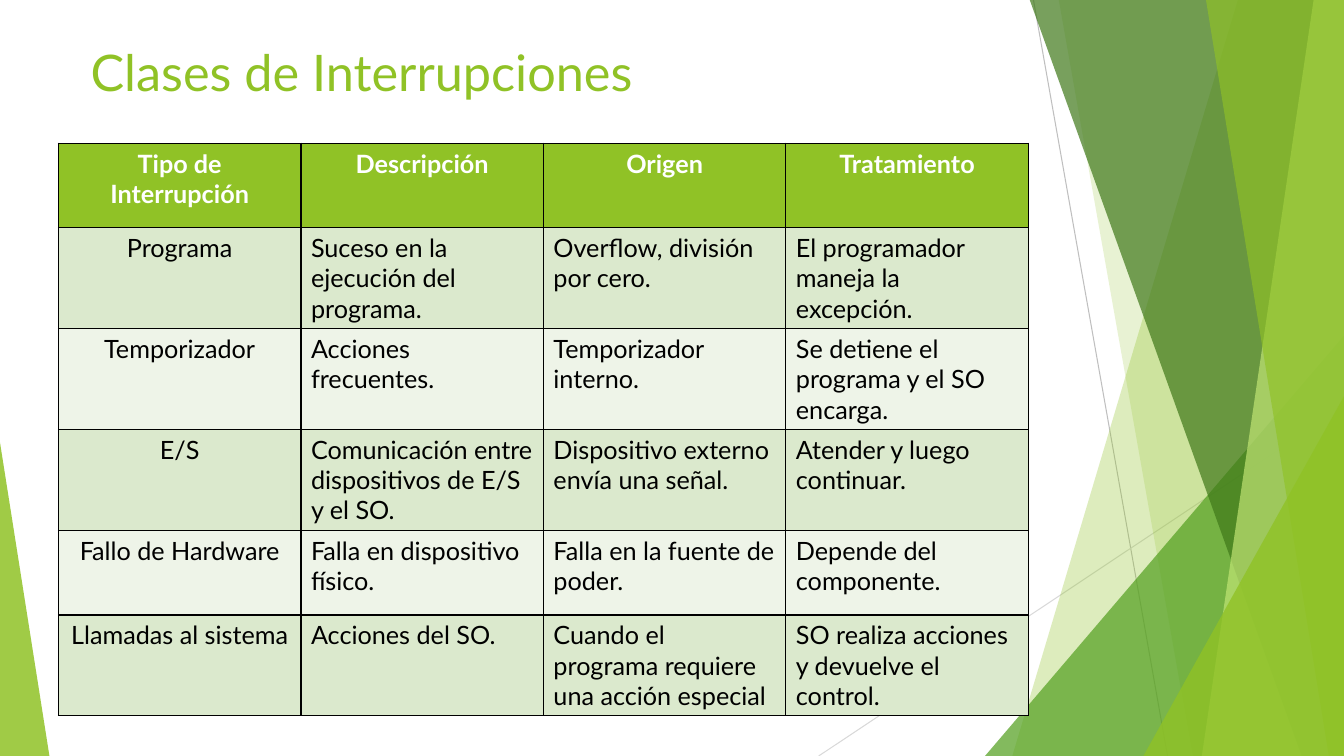
from pptx import Presentation
from pptx.dml.color import RGBColor
from pptx.enum.shapes import MSO_CONNECTOR, MSO_SHAPE
from pptx.enum.text import MSO_ANCHOR, PP_ALIGN
from pptx.oxml.ns import qn
from pptx.util import Inches, Pt
from lxml.etree import SubElement

FONT = "Lato"
GREEN = RGBColor(0x90, 0xC2, 0x26)
LEAF = RGBColor(0x54, 0xA0, 0x21)
FOREST = RGBColor(0x3F, 0x78, 0x19)
LIME = RGBColor(0xC0, 0xE4, 0x74)
GRAY = RGBColor(0xBF, 0xBF, 0xBF)
PALE_GRAY = RGBColor(0xD9, 0xD9, 0xD9)
BAND_DARK = RGBColor(0xDB, 0xE9, 0xCD)
BAND_LIGHT = RGBColor(0xEE, 0xF4, 0xE8)
WHITE = RGBColor(0xFF, 0xFF, 0xFF)
BLACK = RGBColor(0, 0, 0)

SLIDE_WIDTH, SLIDE_HEIGHT = 13.33, 7.5

INTERRUPTIONS = [
    ("Tipo de Interrupción", "Descripción", "Origen", "Tratamiento"),
    ("Programa", "Suceso en la ejecución del programa.",
     "Overflow, división por cero.", "El programador maneja la excepción."),
    ("Temporizador", "Acciones frecuentes.", "Temporizador interno.",
     "Se detiene el programa y el SO encarga."),
    ("E/S", "Comunicación entre dispositivos de E/S y el SO.",
     "Dispositivo externo envía una señal.", "Atender y luego continuar."),
    ("Fallo de Hardware", "Falla en dispositivo físico.",
     "Falla en la fuente de poder.", "Depende del componente."),
    ("Llamadas al sistema", "Acciones del SO.",
     "Cuando el programa requiere una acción especial",
     "SO realiza acciones y devuelve el control."),
]


def style_run(run, size, color, bold=False):
    run.font.name = FONT
    run.font.size = Pt(size)
    run.font.bold = bold
    run.font.color.rgb = color


def paint(facet, color, opacity):
    """Fill a facet with a see-through colour, without outline or shadow."""
    facet.shadow.inherit = False
    facet.line.fill.background()
    facet.fill.solid()
    facet.fill.fore_color.rgb = color
    srgb = facet._element.spPr.find(qn("a:solidFill")).find(qn("a:srgbClr"))
    SubElement(srgb, qn("a:alpha"), val=str(opacity * 1000))


def add_ray(slide, start, end, color):
    ray = slide.shapes.add_connector(
        MSO_CONNECTOR.STRAIGHT, *map(Inches, start + end))
    ray.line.color.rgb = color
    ray.line.width = Pt(0.75)
    SubElement(ray._element.spPr, qn("a:effectLst"))


def add_blade(slide, right, bottom, top_inset, bottom_inset, color, opacity):
    """Four-sided facet along the right edge; insets measure its two widths."""
    top = -0.01
    corners = [(right - top_inset, top), (right, top),
               (right, bottom), (right - bottom_inset, bottom)]
    points = [(Inches(x), Inches(y)) for x, y in corners]
    builder = slide.shapes.build_freeform(*points[0])
    builder.add_line_segments(points[1:], close=True)
    paint(builder.convert_to_shape(), color, opacity)


def add_corner(slide, left, bottom, width, height, apex, color, opacity):
    """Right triangle standing on the bottom edge."""
    corner = slide.shapes.add_shape(
        MSO_SHAPE.ISOSCELES_TRIANGLE, Inches(left), Inches(bottom - height),
        Inches(width), Inches(height))
    corner.adjustments[0] = apex
    paint(corner, color, opacity)


def add_backdrop(slide, left, top, width, height):
    right, bottom = left + width, top + height
    # Thin rays
    add_ray(slide, (right - 3.08, top), (right - 1.75, bottom), GRAY)
    add_ray(slide, (right, top + 4.03), (right - 5.21, bottom), PALE_GRAY)
    # Facets on the right, from back to front
    add_blade(slide, right, bottom, 1.05, 3.29, GREEN, 30)
    add_blade(slide, right, bottom, 2.83, 1.5, GREEN, 20)
    add_corner(slide, right - 3.56, bottom, 3.56, 4.17, 1, LEAF, 72)
    add_blade(slide, right, bottom, 3.12, 0.42, FOREST, 70)
    add_blade(slide, right, bottom, 0.3, 1.41, LIME, 70)
    add_blade(slide, right, bottom, 1.37, 0.15, GREEN, 65)
    add_corner(slide, right - 1.99, bottom, 1.99, 3.57, 1, GREEN, 80)
    # Facet on the left
    add_corner(slide, left, bottom, 0.49, 3.11, 0, GREEN, 85)


def add_title(slide, left, top, width, height):
    title = slide.shapes.add_textbox(*map(Inches, (left, top, width, height)))
    frame = title.text_frame
    frame.word_wrap = True
    frame.vertical_anchor = MSO_ANCHOR.TOP
    frame.text = "Clases de Interrupciones"
    style_run(frame.paragraphs[0].runs[0], 36, GREEN)


def add_cell_borders(cell):
    properties = cell._tc.get_or_add_tcPr()
    for side in ("a:lnL", "a:lnR", "a:lnT", "a:lnB"):
        border = SubElement(properties, qn(side), w=str(Pt(1)))
        fill = SubElement(border, qn("a:solidFill"))
        SubElement(fill, qn("a:srgbClr"), val=str(BLACK))


def add_interruption_table(slide, left, top, width, height):
    row_count, column_count = len(INTERRUPTIONS), len(INTERRUPTIONS[0])
    table = slide.shapes.add_table(
        row_count, column_count,
        *map(Inches, (left, top, width, height))).table
    for column in table.columns:
        column.width = Inches(width / column_count)
    for row_index, texts in enumerate(INTERRUPTIONS):
        table.rows[row_index].height = Inches(height / row_count)
        is_header = row_index == 0
        band = BAND_DARK if row_index % 2 else BAND_LIGHT
        for column_index, text in enumerate(texts):
            cell = table.cell(row_index, column_index)
            add_cell_borders(cell)
            cell.fill.solid()
            cell.fill.fore_color.rgb = GREEN if is_header else band
            cell.text_frame.text = text
            paragraph = cell.text_frame.paragraphs[0]
            centered = is_header or column_index == 0
            paragraph.alignment = PP_ALIGN.CENTER if centered else PP_ALIGN.LEFT
            style_run(paragraph.runs[0], 18,
                      WHITE if is_header else BLACK, is_header)


def main():
    presentation = Presentation()
    presentation.slide_width = Inches(SLIDE_WIDTH)
    presentation.slide_height = Inches(SLIDE_HEIGHT)
    slide = presentation.slides.add_slide(presentation.slide_layouts[6])
    add_backdrop(slide, 0, 0, SLIDE_WIDTH, SLIDE_HEIGHT)
    add_interruption_table(slide, 0.58, 1.42, 9.62, 5.04)
    add_title(slide, 0.8, 0.36, 10.83, 1.62)
    presentation.save("out.pptx")


if __name__ == "__main__":
    main()
